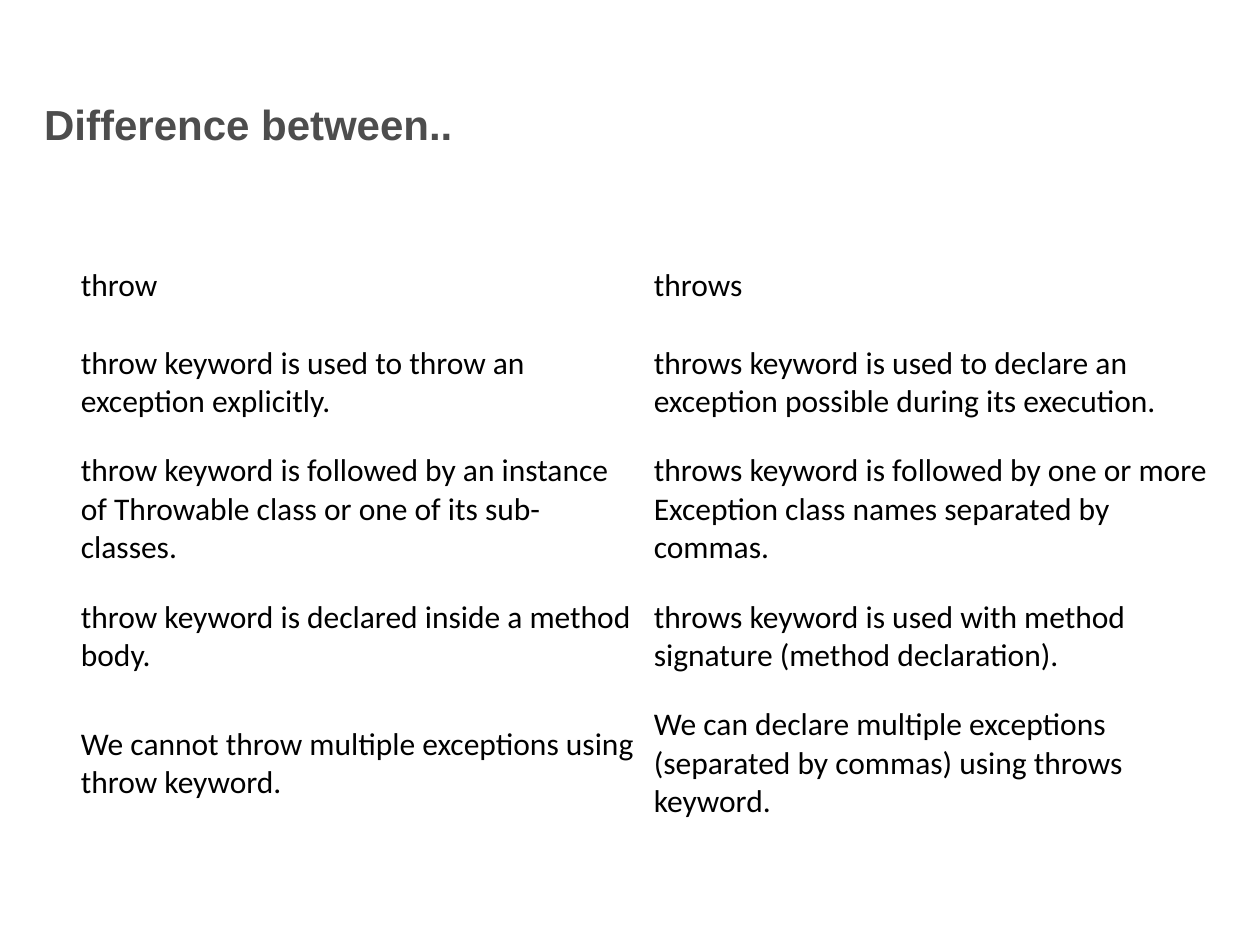
import pptx
import pptx.util
import pptx.dml.color
import pptx.enum.text

Cm, Pt = pptx.util.Cm, pptx.util.Pt
RGBColor = pptx.dml.color.RGBColor
MIDDLE = pptx.enum.text.MSO_ANCHOR.MIDDLE

# Content
TITLE = "Difference between.."
ROWS = [
    ("throw", "throws"),
    ("throw keyword is used to throw an exception explicitly.",
     "throws keyword is used to declare an exception possible during its execution."),
    ("throw keyword is followed by an instance of Throwable class or one of its sub-classes.",
     "throws keyword is followed by one or more Exception class names separated by commas."),
    ("throw keyword is declared inside a method body.",
     "throws keyword is used with method signature (method declaration)."),
    ("We cannot throw multiple exceptions using throw keyword.",
     "We can declare multiple exceptions (separated by commas) using throws keyword."),
]
HEIGHTS = [1.42, 2.48, 2.64, 2.48, 2.64]
WIDTH = 11.55

GREY = RGBColor(0x4D, 0x4D, 0x4D)
BLACK = RGBColor(0, 0, 0)
WHITE = RGBColor(255, 255, 255)


def style(para, name, size, color, bold=False):
    font = para.font
    font.name, font.size, font.bold = name, Pt(size), bold
    font.color.rgb = color


deck = pptx.Presentation()
deck.slide_width, deck.slide_height = Cm(25.4), Cm(19.05)
slide = deck.slides.add_slide(deck.slide_layouts[6])

# Title
box = slide.shapes.add_textbox(Cm(0.64), Cm(1.65), Cm(18.42), Cm(1.7))
frame = box.text_frame
frame.word_wrap = True
frame.vertical_anchor = MIDDLE
frame.text = TITLE
style(frame.paragraphs[0], "Arial", 24, GREY, True)

# Comparison table
table = slide.shapes.add_table(
    len(ROWS), 2, Cm(1.45), Cm(5.05), Cm(2 * WIDTH), Cm(sum(HEIGHTS))).table
table.first_row = table.horz_banding = False
for col in table.columns:
    col.width = Cm(WIDTH)
for r, (texts, height) in enumerate(zip(ROWS, HEIGHTS)):
    table.rows[r].height = Cm(height)
    for c, text in enumerate(texts):
        cell = table.cell(r, c)
        cell.text = text
        cell.vertical_anchor = MIDDLE
        cell.margin_left = cell.margin_right = Cm(0.18)
        cell.margin_top = cell.margin_bottom = Cm(0.09)
        cell.fill.solid()
        cell.fill.fore_color.rgb = WHITE
        style(cell.text_frame.paragraphs[0], "Calibri", 18, BLACK)

deck.save("out.pptx")
